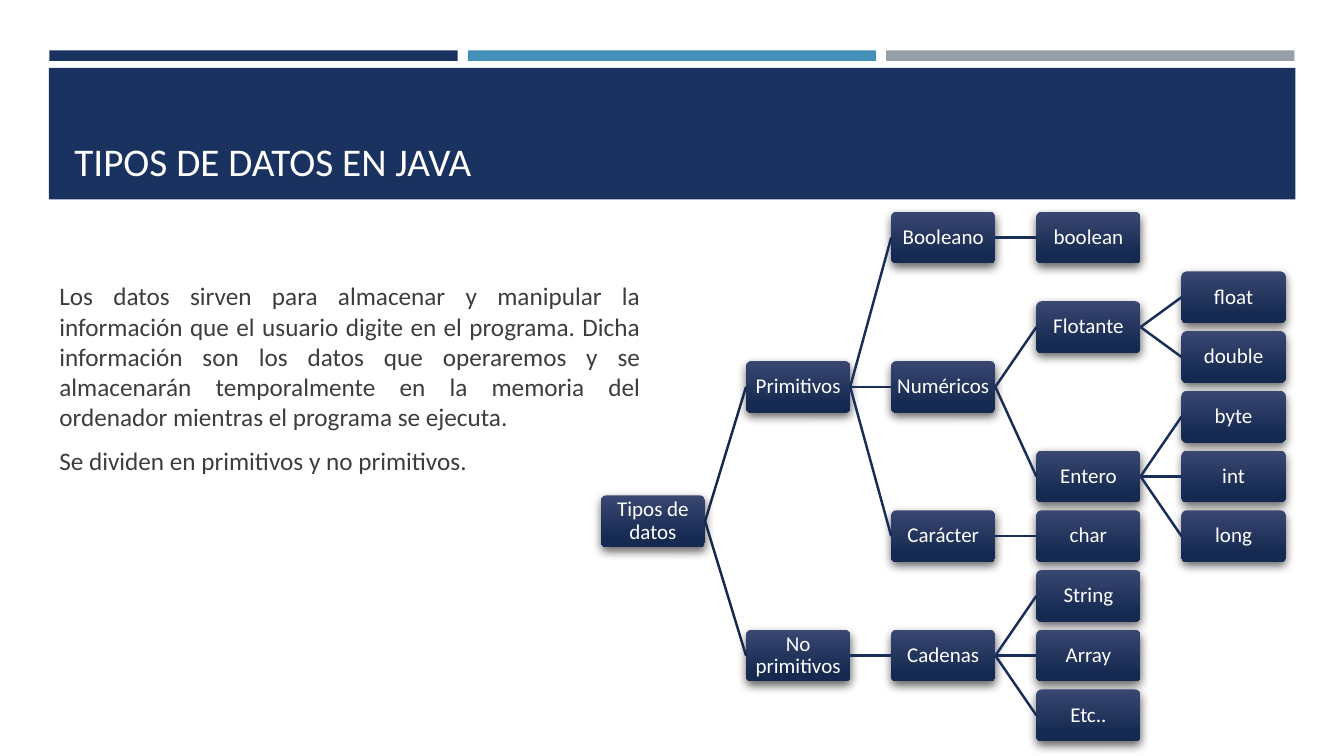
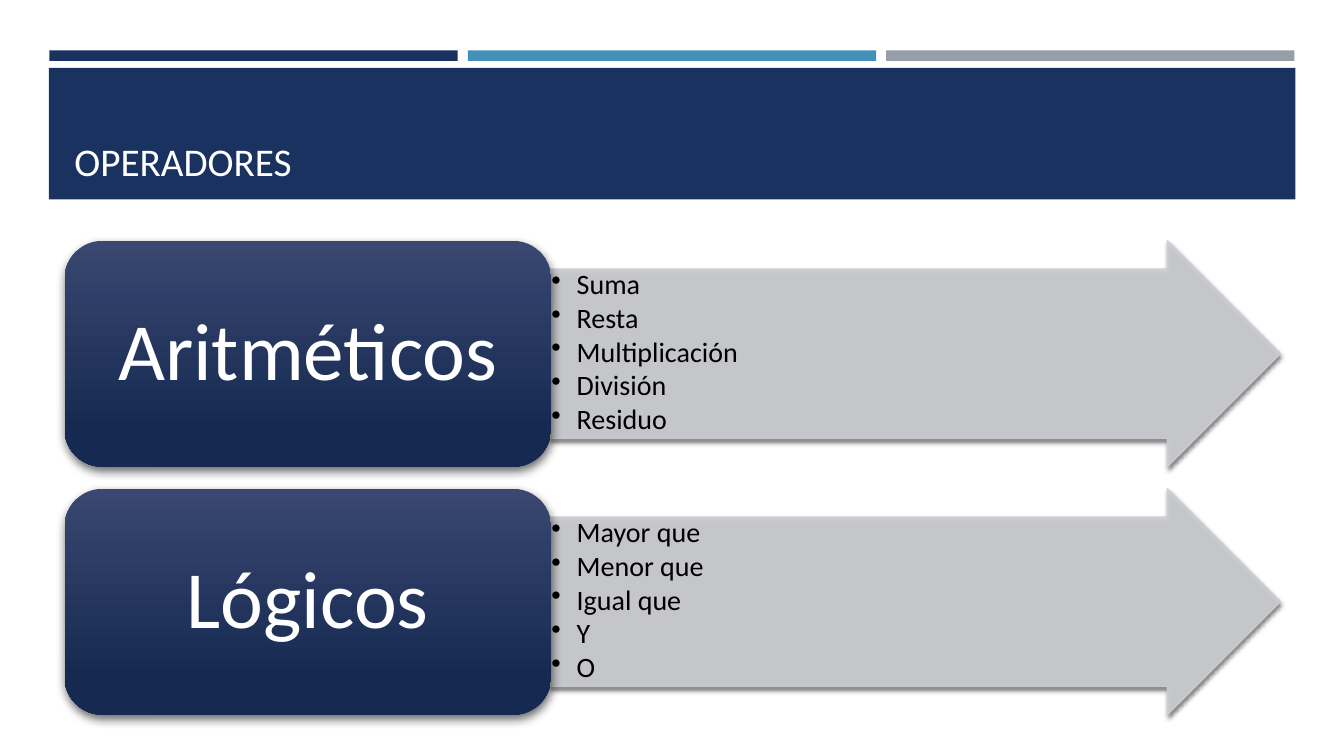
from lxml import etree
from pptx import Presentation
from pptx import util as u
from pptx.dml.color import RGBColor
from pptx.enum import shapes, text
from pptx.oxml import ns

WIDTH, HEIGHT = u.Inches(13.33), u.Inches(7.5)
FONT = "Calibri"
NAVY, BLUE, GRAY, WHITE, BLACK = "1A3260", "4590B8", "969FA7", "FFFFFF", "000000"
BODY, SILVER = "3D3D3D", "CDCED2"
GRADIENT = (("394771", 0), ("162A51", 0.84))
ROOT_LINK, LINK = "15284D", "182D57"
SHAPE, ALIGN, ANCHOR = shapes.MSO_SHAPE, text.PP_ALIGN, text.MSO_ANCHOR

INTRO = (
    "Los datos sirven para almacenar y manipular la información que el usuario "
    "digite en el programa. Dicha información son los datos que operaremos y se "
    "almacenarán temporalmente en la memoria del ordenador mientras el programa "
    "se ejecuta.",
    "Se dividen en primitivos y no primitivos.",
)
TREE = ("Tipos de datos", 4.75, [
    ("Primitivos", 2.5, [
        ("Booleano", 0, [("boolean", 0, [])]),
        ("Numéricos", 2.5, [
            ("Flotante", 1.5, [("float", 1, []), ("double", 2, [])]),
            ("Entero", 4, [("byte", 3, []), ("int", 4, []), ("long", 5, [])]),
        ]),
        ("Carácter", 5, [("char", 5, [])]),
    ]),
    ("No primitivos", 7, [
        ("Cadenas", 7, [("String", 6, []), ("Array", 7, []), ("Etc..", 8, [])]),
    ]),
])
OPERATORS = (
    ("Aritméticos", ("Suma", "Resta", "Multiplicación", "División", "Residuo")),
    ("Lógicos", ("Mayor que", "Menor que", "Igual que", "Y", "O")),
)


def rgb(color):
    return RGBColor.from_string(color)


def area(x, y, w, h):
    return [u.Emu(round(size * share / 100))
            for size, share in ((WIDTH, x), (HEIGHT, y), (WIDTH, w), (HEIGHT, h))]


def child(parent, tag, **attrs):
    return etree.SubElement(parent, ns.qn(tag), {k: str(v) for k, v in attrs.items()})


def add_alpha(fill_element, percent):
    child(fill_element.find(".//" + ns.qn("a:srgbClr")), "a:alpha", val=percent * 1000)


def add_shadow(sp, opacity, blur, distance, angle):
    effects = sp._element.spPr.find(ns.qn("a:effectLst"))
    shadow = child(effects, "a:outerShdw", blurRad=u.Pt(blur), dist=u.Pt(distance),
                   dir=angle * 60000, algn="ctr", rotWithShape=0)
    child(child(shadow, "a:srgbClr", val=BLACK), "a:alpha", val=opacity * 1000)


def add_box(s, kind, bounds, color):
    sp = s.shapes.add_shape(kind, *bounds)
    sp.shadow.inherit = False
    sp.fill.solid()
    sp.fill.fore_color.rgb = rgb(color)
    sp.line.fill.background()
    return sp


def write(sp, lines, size, color, align=ALIGN.LEFT, anchor=ANCHOR.MIDDLE,
          inset=(0.1, 0.05), leading=None, before=0, after=0, bullet=False):
    tf = sp.text_frame
    tf.word_wrap = True
    tf.vertical_anchor = anchor
    tf.margin_left = tf.margin_right = u.Inches(inset[0])
    tf.margin_top = tf.margin_bottom = u.Inches(inset[1])
    for i, line in enumerate(lines):
        p = tf.add_paragraph() if i else tf.paragraphs[0]
        p.alignment = align
        p.line_spacing = leading
        p.space_before, p.space_after = u.Pt(before), u.Pt(after)
        if bullet:
            pPr = p._p.get_or_add_pPr()
            pPr.set("marL", str(u.Inches(0.25)))
            pPr.set("indent", str(-u.Inches(0.25)))
            child(pPr, "a:buChar", char="•")
        r = p.add_run()
        r.text = line
        r.font.name, r.font.size = FONT, u.Pt(size)
        r.font.color.rgb = rgb(color)


def add_text(s, bounds, lines, size, color, **style):
    write(s.shapes.add_textbox(*bounds), lines, size, color, **style)


def add_tile(s, bounds, label, size, inset):
    sp = add_box(s, SHAPE.ROUNDED_RECTANGLE, bounds, NAVY)
    sp.fill.gradient()
    sp.fill.gradient_angle = 270
    for stop, (color, position) in zip(sp.fill.gradient_stops, GRADIENT):
        stop.color.rgb = rgb(color)
        stop.position = position
    add_shadow(sp, 60, 7, 3, 84)
    write(sp, [label], size, WHITE, align=ALIGN.CENTER, inset=inset, leading=0.9)
    return sp


def add_link(s, start, end, color):
    cn = s.shapes.add_connector(shapes.MSO_CONNECTOR.STRAIGHT, 0, 0, 0, 0)
    cn.begin_connect(start, 3)
    cn.end_connect(end, 1)
    cn.line.color.rgb = rgb(color)
    cn.line.width = u.Pt(1.75)
    child(cn._element.spPr, "a:effectLst")


def add_branch(s, node, column=0):
    label, row, children = node
    tile = add_tile(s, area(44.71 + 10.8 * column, 28 + 7.9 * row, 7.75, 6.84),
                    label, 15, (0.03, 0.03))
    tile.adjustments[0] = 0.1
    for branch in children:
        add_link(s, tile, add_branch(s, branch, column + 1), LINK if column else ROOT_LINK)
    return tile


def add_list_arrow(s, bounds, items):
    sp = add_box(s, SHAPE.RIGHT_ARROW, bounds, SILVER)
    sp.adjustments[0], sp.adjustments[1] = 0.75, 0.5
    sp.line.color.rgb = rgb(SILVER)
    sp.line.width = u.Pt(1)
    spPr = sp._element.spPr
    add_alpha(spPr.find(ns.qn("a:solidFill")), 90)
    add_alpha(spPr.find(ns.qn("a:ln")), 90)
    add_shadow(sp, 55, 3, 2, 90)
    write(sp, items, 20, BLACK, anchor=ANCHOR.TOP, inset=(0.01, 0.01),
          leading=0.9, after=2.6, bullet=True)


def add_slide(prs, title):
    s = prs.slides.add_slide(prs.slide_layouts[6])
    for i, color in enumerate((NAVY, BLUE, GRAY)):
        add_box(s, SHAPE.RECTANGLE, area(3.68 + 31.13 * i, 6.67, 30.38, 1.4), color)
    add_box(s, SHAPE.RECTANGLE, area(3.64, 8.98, 92.75, 17.4), NAVY)
    add_text(s, area(4.8, 10.27, 90.47, 14.8), [title], 28, WHITE, anchor=ANCHOR.BOTTOM)
    return s


def add_types_slide(prs):
    s = add_slide(prs, "TIPOS DE DATOS EN JAVA")
    add_branch(s, TREE)
    add_text(s, area(3.68, 23.2, 44.71, 53.6), INTRO, 18, BODY,
             align=ALIGN.JUSTIFY, before=3.6, after=6)


def add_operators_slide(prs):
    s = add_slide(prs, "OPERADORES")
    for i, (label, items) in enumerate(OPERATORS):
        top = 31.87 + 32.8 * i
        add_list_arrow(s, area(40.96, top, 54.31, 29.87), items)
        add_tile(s, area(4.8, top, 36.2, 29.87), label, 58, (0.34, 0.23))


def main():
    prs = Presentation()
    prs.slide_width, prs.slide_height = WIDTH, HEIGHT
    add_types_slide(prs)
    add_operators_slide(prs)
    prs.save("out.pptx")


if __name__ == "__main__":
    main()
